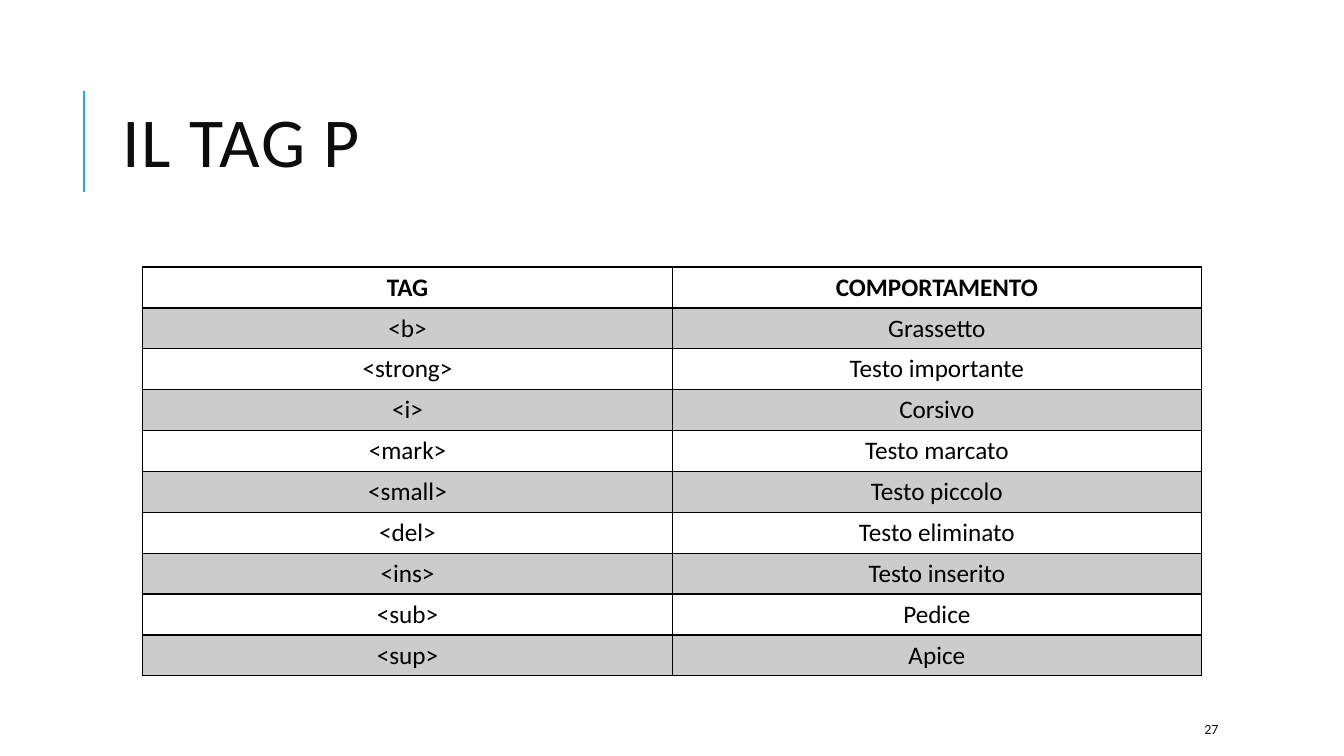
from dataclasses import dataclass

from lxml import etree
from pptx import Presentation
from pptx import util as u
from pptx.dml.color import RGBColor
from pptx.enum import shapes, text
from pptx.oxml import ns


@dataclass(frozen=True)
class Theme:
    font: str = "Calibri"
    accent: str = "1CADE4"
    ink: str = "0D0D0D"
    black: str = "000000"
    band_alpha: int = 20
    title_size: int = 50
    table_size: int = 18
    number_size: int = 10


class SlideBuilder:
    def __init__(self, slide, theme):
        self.slide = slide
        self.theme = theme

    def add_run(self, paragraph, content, size, color, bold=False):
        run = paragraph.add_run()
        run.text = content
        run.font.name = self.theme.font
        run.font.size = u.Pt(size)
        run.font.bold = bold
        run.font.color.rgb = RGBColor.from_string(color)
        return run

    def set_frame(self, frame):
        frame.word_wrap = True
        frame.auto_size = text.MSO_AUTO_SIZE.NONE
        frame.vertical_anchor = text.MSO_ANCHOR.MIDDLE
        paragraph = frame.paragraphs[0]
        paragraph.alignment = text.PP_ALIGN.LEFT
        return paragraph

    def title(self, content, left, top, width, height):
        shape = self.slide.shapes.title
        shape.left, shape.top = u.Cm(left), u.Cm(top)
        shape.width, shape.height = u.Cm(width), u.Cm(height)
        paragraph = self.set_frame(shape.text_frame)
        paragraph.line_spacing = 0.8
        run = self.add_run(paragraph, content, self.theme.title_size, self.theme.ink)
        run.font._element.set("spc", "100")

    def text_box(self, content, left, top, width, height, size):
        shape = self.slide.shapes.add_textbox(
            u.Cm(left), u.Cm(top), u.Cm(width), u.Cm(height))
        paragraph = self.set_frame(shape.text_frame)
        self.add_run(paragraph, content, size, self.theme.ink)

    def vertical_line(self, left, top, bottom, weight):
        line = self.slide.shapes.add_connector(
            shapes.MSO_CONNECTOR.STRAIGHT,
            u.Cm(left), u.Cm(bottom), u.Cm(left), u.Cm(top))
        line.line.color.rgb = RGBColor.from_string(self.theme.accent)
        line.line.width = u.Pt(weight)
        etree.SubElement(line._element.spPr, ns.qn("a:effectLst"))

    def cell_borders(self, cell, weights):
        properties = cell._tc.get_or_add_tcPr()
        for index, (side, weight) in enumerate(weights.items()):
            border = etree.Element(ns.qn(f"a:ln{side}"), w=str(u.Pt(weight)))
            fill = etree.SubElement(border, ns.qn("a:solidFill"))
            etree.SubElement(fill, ns.qn("a:srgbClr"), val=self.theme.black)
            properties.insert(index, border)

    def cell_band(self, cell):
        cell.fill.solid()
        cell.fill.fore_color.rgb = RGBColor.from_string(self.theme.black)
        color = cell._tc.tcPr.find(f".//{ns.qn('a:srgbClr')}")
        etree.SubElement(color, ns.qn("a:alpha"), val=str(self.theme.band_alpha * 1000))

    def table(self, rows, left, top, column_width, row_height):
        columns = len(rows[0])
        table = self.slide.shapes.add_table(
            len(rows), columns, u.Cm(left), u.Cm(top),
            u.Cm(column_width * columns), u.Cm(row_height * len(rows))).table
        table.first_row = table.horz_banding = False
        for column in table.columns:
            column.width = u.Cm(column_width)
        for row_index, values in enumerate(rows):
            table.rows[row_index].height = u.Cm(row_height)
            for column_index, value in enumerate(values):
                cell = table.cell(row_index, column_index)
                paragraph = cell.text_frame.paragraphs[0]
                paragraph.alignment = text.PP_ALIGN.CENTER
                self.add_run(paragraph, value, self.theme.table_size,
                             self.theme.black, bold=row_index == 0)
                if row_index % 2:
                    self.cell_band(cell)
                else:
                    cell.fill.background()
                # The rule under the header is heavier
                self.cell_borders(cell, {
                    "L": 1, "R": 1,
                    "T": 2 if row_index == 1 else 1,
                    "B": 2 if row_index == 0 else 1})


TAG_ROWS = [
    ("TAG", "COMPORTAMENTO"),
    ("<b>", "Grassetto"),
    ("<strong>", "Testo importante"),
    ("<i>", "Corsivo"),
    ("<mark>", "Testo marcato"),
    ("<small>", "Testo piccolo"),
    ("<del>", "Testo eliminato"),
    ("<ins>", "Testo inserito"),
    ("<sub>", "Pedice"),
    ("<sup>", "Apice"),
]


def main():
    presentation = Presentation()
    presentation.slide_width = u.Cm(33.87)
    presentation.slide_height = u.Cm(19.05)
    theme = Theme()
    slide = presentation.slides.add_slide(presentation.slide_layouts.get_by_name("Title Only"))
    builder = SlideBuilder(slide, theme)

    # Heading with accent line
    builder.vertical_line(2.12, 2.3, 4.84, 1.5)
    builder.title("IL TAG P", 2.84, 1.63, 27, 4.17)

    # Tags and what they do
    builder.table(TAG_ROWS, 3.6, 6.73, 13.34, 1.03)

    # Slide number
    builder.text_box("27", 30.1, 17.98, 2.69, 0.76, theme.number_size)

    presentation.save("out.pptx")


if __name__ == "__main__":
    main()
